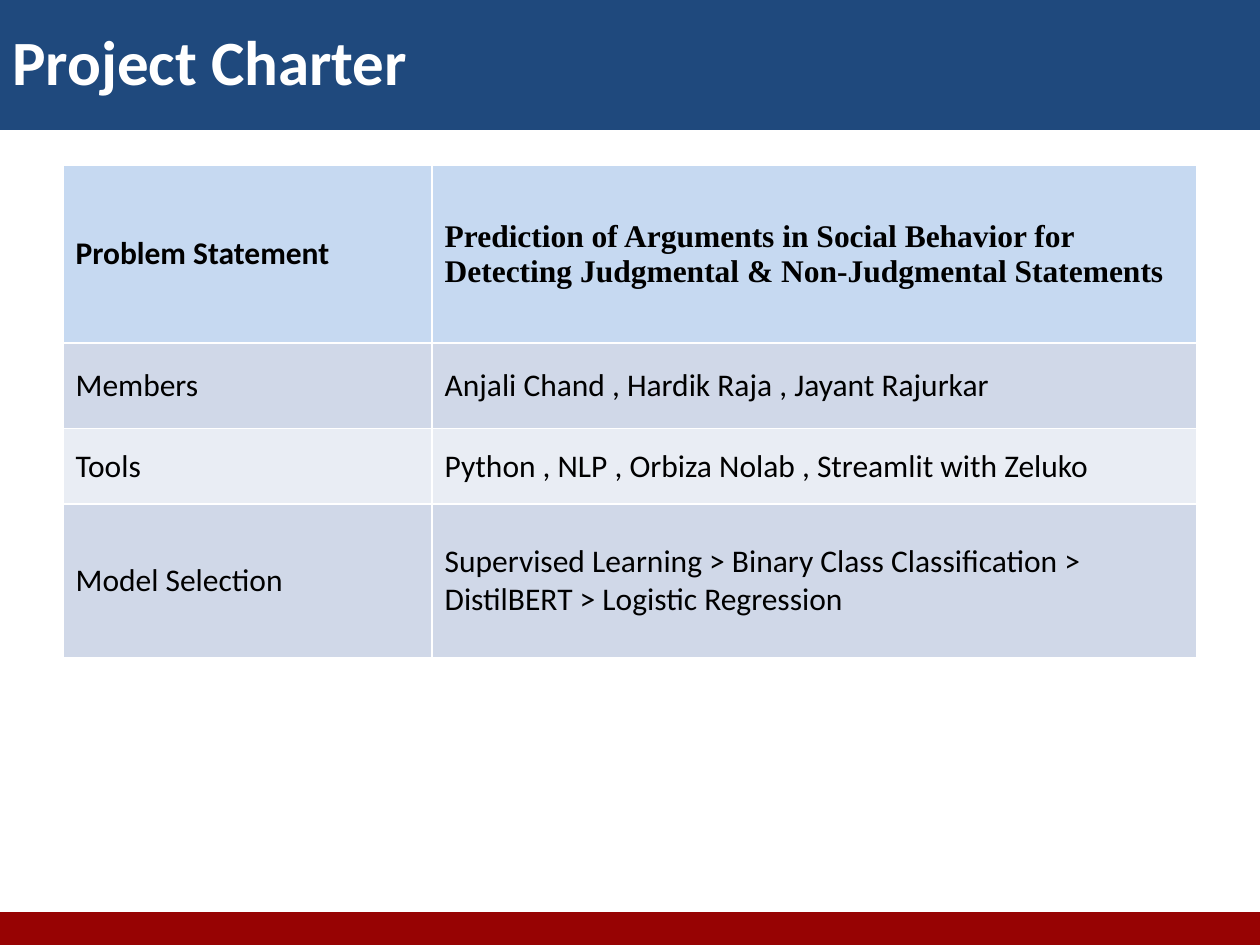
from pptx import Presentation
from pptx.dml.color import RGBColor
from pptx.enum.shapes import MSO_SHAPE
from pptx.enum.text import MSO_ANCHOR, PP_ALIGN
from pptx.util import Cm, Pt

WIDE, HIGH = 25.4, 19.05
ROWS = [
    ("Problem Statement", "Prediction of Arguments in Social Behavior for \v"
     "Detecting Judgmental & Non-Judgmental Statements"),
    ("Members", "Anjali Chand , Hardik Raja , Jayant Rajurkar"),
    ("Tools", "Python , NLP , Orbiza Nolab , Streamlit with Zeluko"),
    ("Model Selection", "Supervised Learning > Binary Class Classification > "
     "DistilBERT > Logistic Regression"),
]
FILLS = ["C6D9F1", "D0D8E8", "E9EDF4", "D0D8E8"]
COLS = [7.44, 15.42]
TALL = [3.58, 1.73, 1.52, 3.1]


def paint(item, tone):
    """Fill an item with a solid hex colour."""
    item.fill.solid()
    item.fill.fore_color.rgb = RGBColor.from_string(tone)


def style(frame, size, tone, bold, face="Calibri"):
    """Format every run in a text frame, aligned left."""
    for para in frame.paragraphs:
        para.alignment = PP_ALIGN.LEFT
        for run in para.runs:
            font = run.font
            font.name, font.size, font.bold = face, Pt(size), bold
            font.color.rgb = RGBColor.from_string(tone)


def add_bar(slide, box, tone):
    """Add a plain coloured bar and return it."""
    bar = slide.shapes.add_shape(MSO_SHAPE.RECTANGLE, *map(Cm, box))
    bar.shadow.inherit = False
    paint(bar, tone)
    bar.line.fill.background()
    return bar


def add_foot(slide, box):
    """Add the red footer bar with its outline."""
    bar = add_bar(slide, box, "970303")
    bar.line.color.rgb = RGBColor.from_string("970303")
    bar.line.width = Pt(2)


def add_head(slide, box, title):
    """Add the blue title bar."""
    bar = add_bar(slide, box, "1F497D")
    frame = bar.text_frame
    frame.text = title
    frame.vertical_anchor = MSO_ANCHOR.MIDDLE
    style(frame, 36, "FFFFFF", True)


def add_chart_table(slide, left, top):
    """Add the charter table at the given corner."""
    box = (left, top, sum(COLS), sum(TALL))
    table = slide.shapes.add_table(len(ROWS), len(COLS), *map(Cm, box)).table
    for col, width in zip(table.columns, COLS):
        col.width = Cm(width)
    for i, (row, texts) in enumerate(zip(table.rows, ROWS)):
        row.height = Cm(TALL[i])
        for j, (cell, text) in enumerate(zip(row.cells, texts)):
            cell.text_frame.text = text
            cell.vertical_anchor = MSO_ANCHOR.MIDDLE
            paint(cell, FILLS[i])
            face = "Times New Roman" if (i, j) == (0, 1) else "Calibri"
            style(cell.text_frame, 18, "000000", i == 0, face)


def main():
    """Build and save the slide."""
    deck = Presentation()
    deck.slide_width, deck.slide_height = Cm(WIDE), Cm(HIGH)
    slide = deck.slides.add_slide(deck.slide_layouts[6])
    add_foot(slide, (0, HIGH - 0.63, WIDE, 0.63))
    add_chart_table(slide, 1.27, 3.33)
    add_head(slide, (0, -0.18, WIDE, 2.8), "Project Charter")
    deck.save("out.pptx")


if __name__ == "__main__":
    main()
